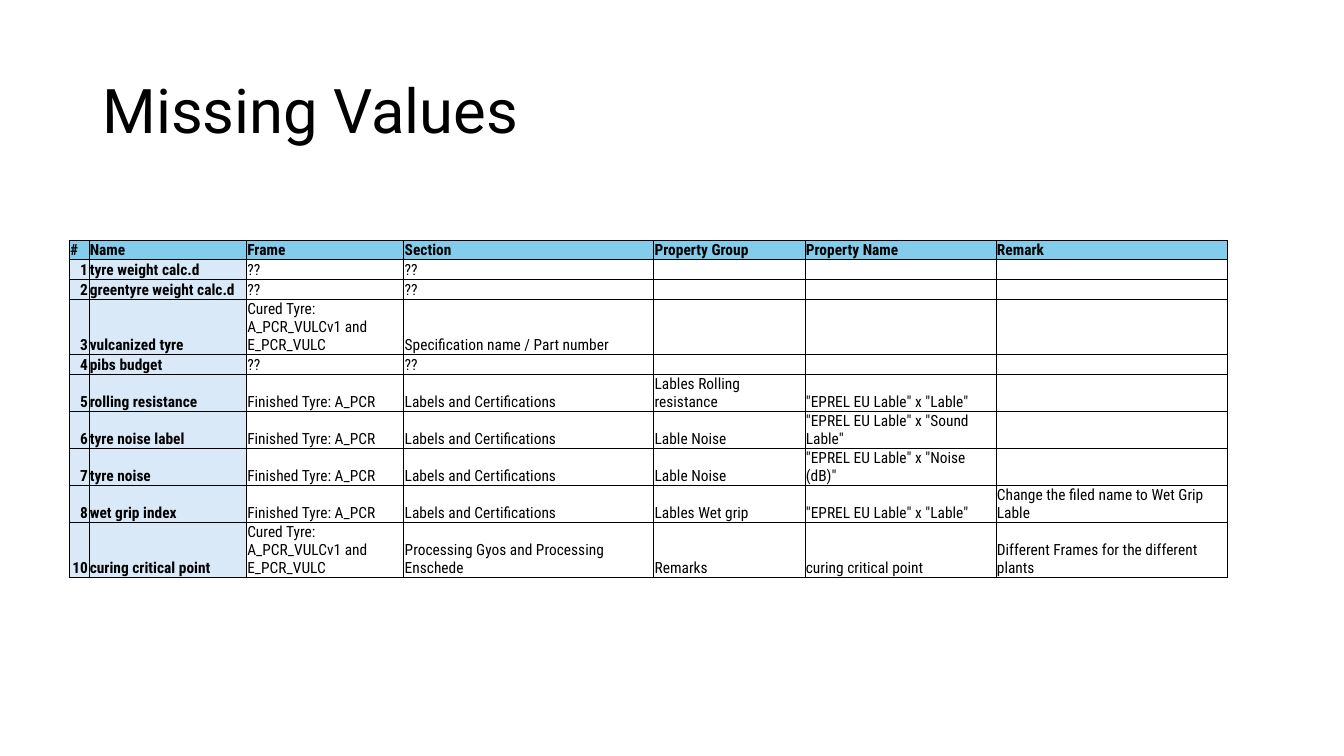
from lxml.etree import SubElement
from pptx import Presentation
from pptx.dml.color import RGBColor
from pptx.enum.text import MSO_ANCHOR as ANCHOR, MSO_AUTO_SIZE as AUTO_SIZE, PP_ALIGN as ALIGN
from pptx.oxml.ns import qn
from pptx.util import Pt

BLACK = RGBColor(0x00, 0x00, 0x00)
HEADER_BLUE = RGBColor(0x83, 0xCC, 0xEB)
NAME_BLUE = RGBColor(0xDA, 0xE9, 0xF8)
TITLE_FONT = "Roboto"
TABLE_FONT = "Roboto Condensed"
TABLE_SIZE = 11
LINE_HEIGHT = 12.89
CELL_INSET = 0.7

COL_WIDTHS = [14, 112.5, 112.5, 178.5, 108, 136.5, 165.5]
ROW_LINES = [1, 1, 1, 3, 1, 2, 2, 2, 2, 3]

CURED = "Cured Tyre: A_PCR_VULCv1 and E_PCR_VULC"
FINISHED = "Finished Tyre: A_PCR"
LABELS = "Labels and Certifications"
ROWS = [
    ["#", "Name", "Frame", "Section", "Property Group", "Property Name", "Remark"],
    ["1", "tyre weight calc.d", "??", "??", "", "", ""],
    ["2", "greentyre weight calc.d", "??", "??", "", "", ""],
    ["3", "vulcanized tyre", CURED, "Specification name / Part number", "", "", ""],
    ["4", "pibs budget", "??", "??", "", "", ""],
    ["5", "rolling resistance", FINISHED, LABELS, "Lables Rolling resistance",
     '"EPREL EU Lable" x "Lable"', ""],
    ["6", "tyre noise label", FINISHED, LABELS, "Lable Noise",
     '"EPREL EU Lable" x "Sound Lable"', ""],
    ["7", "tyre noise", FINISHED, LABELS, "Lable Noise",
     '"EPREL EU Lable" x "Noise (dB)"', ""],
    ["8", "wet grip index", FINISHED, LABELS, "Lables Wet grip",
     '"EPREL EU Lable" x "Lable"', "Change the filed name to Wet Grip Lable"],
    ["10", "curing critical point", CURED, "Processing Gyos and Processing Enschede",
     "Remarks", "curing critical point", "Different Frames for the different plants"],
]


def write_text(tf, text, font, size, bold=False, align=ALIGN.LEFT, spacing=None):
    p = tf.paragraphs[0]
    p.alignment = align
    if spacing:
        p.line_spacing = spacing
    if not text:
        SubElement(p._p, qn("a:endParaRPr"), sz=str(size * 100))
        return
    r = p.add_run()
    r.text = text
    r.font.name = font
    r.font.size = Pt(size)
    r.font.bold = bold
    r.font.color.rgb = BLACK


def add_title(slide, text):
    sp = slide.shapes.title
    sp.left, sp.top, sp.width, sp.height = Pt(66), Pt(28.75), Pt(828), Pt(104.4)
    tf = sp.text_frame
    tf.auto_size = AUTO_SIZE.NONE
    tf.vertical_anchor = ANCHOR.MIDDLE
    write_text(tf, text, TITLE_FONT, 44, spacing=0.9)


def set_borders(cell):
    tc_pr = cell._tc.get_or_add_tcPr()
    for i, side in enumerate(("lnL", "lnR", "lnT", "lnB")):
        ln = tc_pr.makeelement(qn(f"a:{side}"), {"w": str(Pt(0.5))})
        fill = SubElement(ln, qn("a:solidFill"))
        SubElement(fill, qn("a:srgbClr"), val=str(BLACK))
        tc_pr.insert(i, ln)


def format_cell(cell, text, fill, bold, align):
    cell.margin_left = cell.margin_right = cell.margin_top = Pt(CELL_INSET)
    cell.margin_bottom = 0
    cell.vertical_anchor = ANCHOR.BOTTOM
    if fill is None:
        cell.fill.background()
    else:
        cell.fill.solid()
        cell.fill.fore_color.rgb = fill
    set_borders(cell)
    write_text(cell.text_frame, text, TABLE_FONT, TABLE_SIZE, bold=bold, align=align)


def add_values_table(slide, left, top):
    heights = [n * LINE_HEIGHT + CELL_INSET for n in ROW_LINES]
    table = slide.shapes.add_table(
        len(ROWS), len(COL_WIDTHS), Pt(left), Pt(top),
        Pt(sum(COL_WIDTHS)), Pt(sum(heights))).table
    table.first_row = table.horz_banding = False
    for column, width in zip(table.columns, COL_WIDTHS):
        column.width = Pt(width)
    for i, (row, height) in enumerate(zip(table.rows, heights)):
        row.height = Pt(height)
        for j, text in enumerate(ROWS[i]):
            fill = HEADER_BLUE if i == 0 else NAME_BLUE if j < 2 else None
            align = ALIGN.RIGHT if i > 0 and j == 0 else ALIGN.LEFT
            format_cell(row.cells[j], text, fill, fill is not None, align)


def main():
    prs = Presentation()
    prs.slide_width, prs.slide_height = Pt(960), Pt(540)
    slide = prs.slides.add_slide(prs.slide_layouts.get_by_name("Title Only"))
    add_title(slide, "Missing Values")
    add_values_table(slide, 49.5, 171.5)
    prs.save("out.pptx")


if __name__ == "__main__":
    main()
